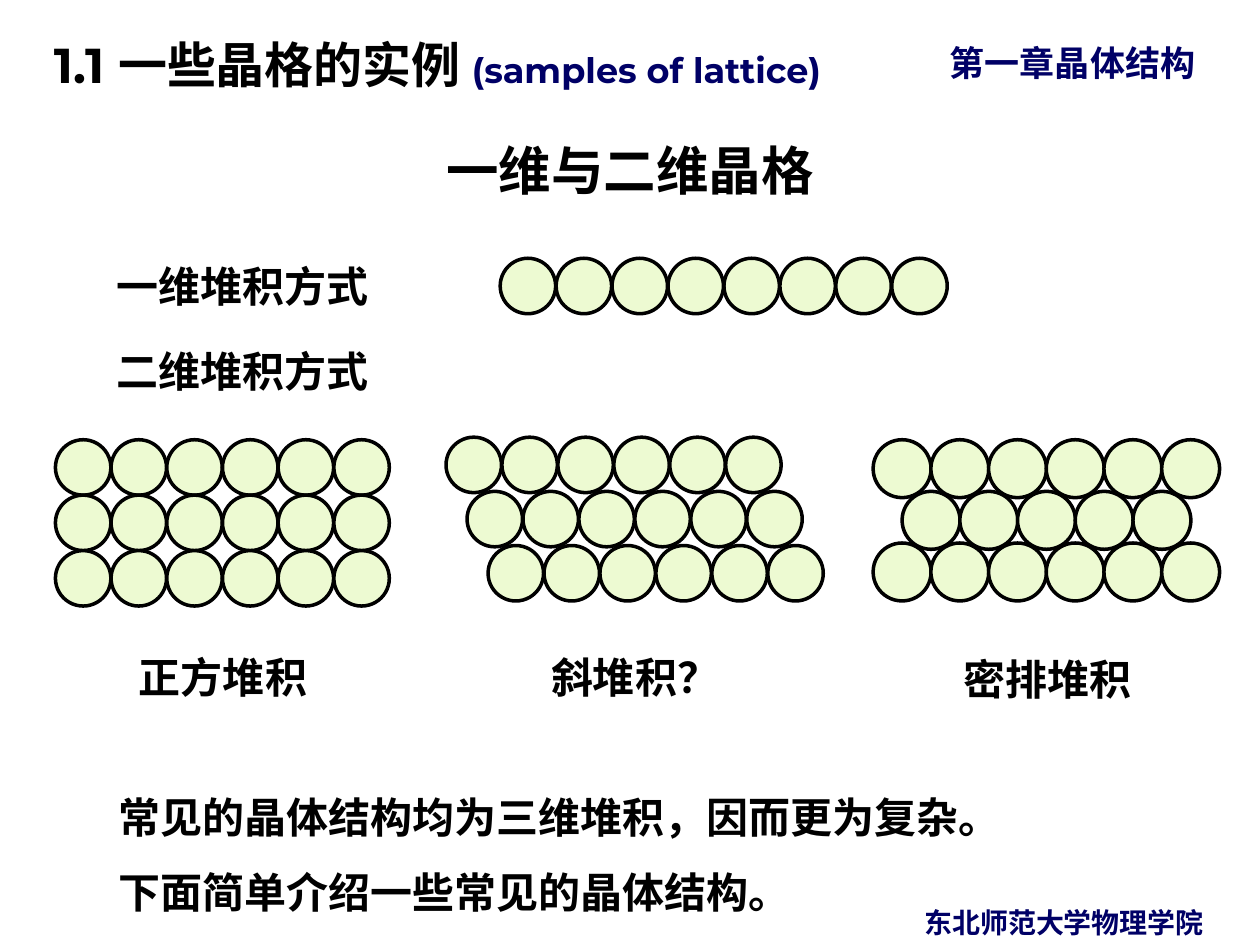
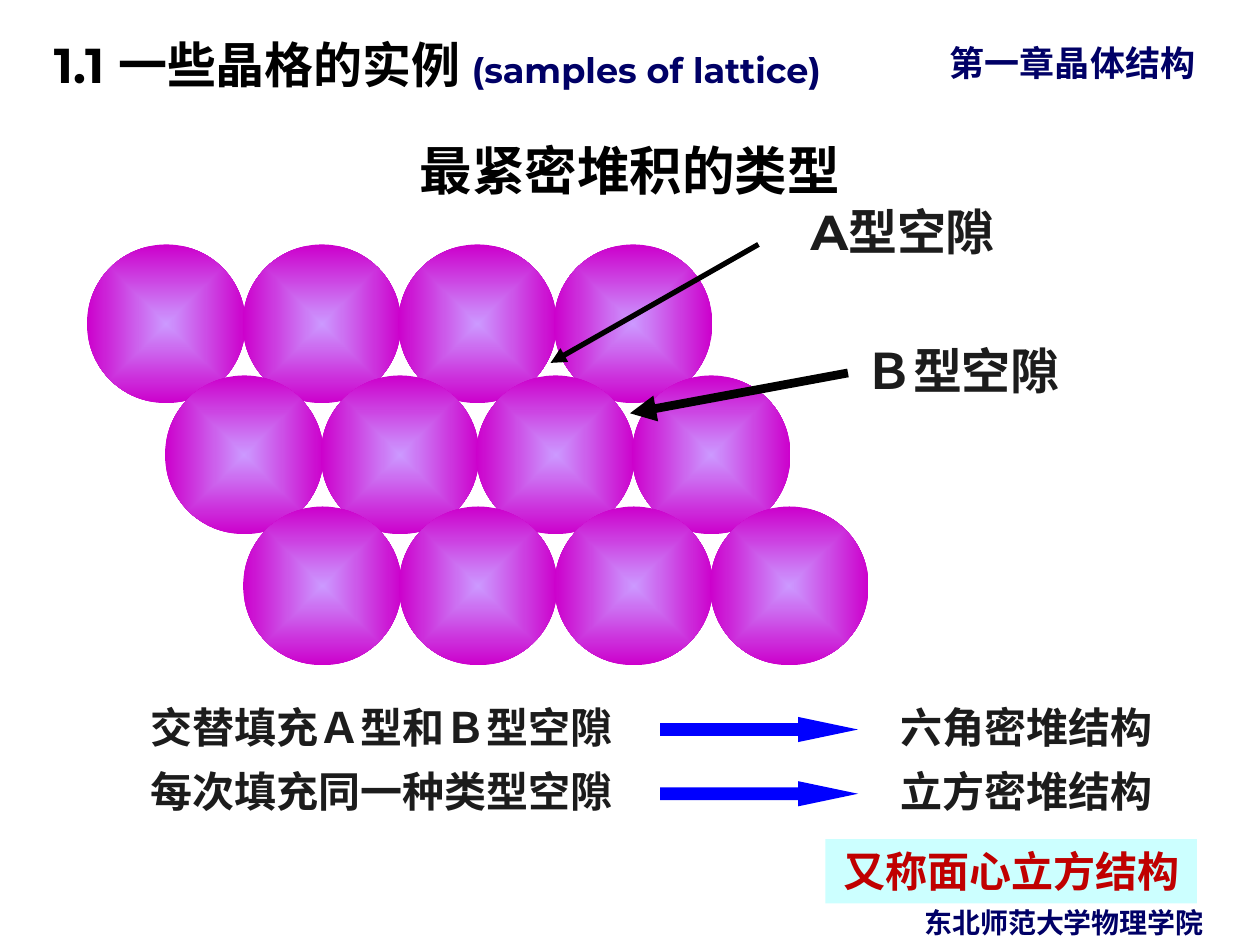
import pptx
import pptx.util
import pptx.dml.color
import pptx.enum.shapes
import pptx.enum.text
import pptx.oxml.ns
import lxml.etree

Inches = pptx.util.Inches
Pt = pptx.util.Pt
ALIGN = pptx.enum.text.PP_ALIGN
ANCHOR = pptx.enum.text.MSO_ANCHOR
SHAPE = pptx.enum.shapes.MSO_SHAPE
qn = pptx.oxml.ns.qn

COLORS = {
    "black": "000000",
    "ink": "1C1C1C",
    "navy": "000066",
    "atom": "EDFAD2",
    "sphere_center": "CC99FF",
    "sphere_edge": "CC00CC",
    "arrow": "0000FF",
    "note_fill": "CCFFFF",
    "note_text": "C00000",
}
LATIN = "Montserrat"
CHINESE = "Noto Sans CJK SC"


def rgb(name):
    return pptx.dml.color.RGBColor.from_string(COLORS[name])


def add_run(paragraph, text, size, color, font):
    run = paragraph.add_run()
    run.text = text
    run.font.size = Pt(size)
    run.font.bold = True
    run.font.name = font
    run.font.color.rgb = rgb(color)
    east_asian = lxml.etree.Element(qn("a:ea"), typeface=CHINESE)
    run.font._element.find(qn("a:latin")).addnext(east_asian)


def add_text(shapes, text, box, size=24, color="black", font=LATIN, align=ALIGN.LEFT,
             anchor=ANCHOR.TOP, line_spacing=None, fill=None, suffix=None):
    shape = shapes.add_textbox(*map(Inches, box))
    frame = shape.text_frame
    frame.word_wrap = True
    frame.vertical_anchor = anchor
    if fill:
        shape.fill.solid()
        shape.fill.fore_color.rgb = rgb(fill)
    paragraph = frame.paragraphs[0]
    paragraph.alignment = align
    if line_spacing:
        paragraph.line_spacing = line_spacing
    add_run(paragraph, text, size, color, font)
    if suffix:
        add_run(paragraph, suffix, 20, "navy", font)
    return shape


def add_centered(shapes, text, box, **text_format):
    return add_text(shapes, text, box, align=ALIGN.CENTER, **text_format)


def add_shape(shapes, kind, box):
    shape = shapes.add_shape(kind, *map(Inches, box))
    shape.shadow.inherit = False
    shape.line.fill.background()
    return shape


def style_atom(shape):
    shape.fill.solid()
    shape.fill.fore_color.rgb = rgb("atom")
    shape.line.fill.solid()
    shape.line.color.rgb = rgb("black")
    shape.line.width = Pt(2)


def style_sphere(shape):
    shape.fill.gradient()
    stops = zip(shape.fill.gradient_stops, (0, 1), ("sphere_center", "sphere_edge"))
    for stop, position, color in stops:
        stop.position = position
        stop.color.rgb = rgb(color)
    gradient = shape._element.spPr.find(qn("a:gradFill"))
    gradient.remove(gradient.find(qn("a:lin")))
    focus = lxml.etree.SubElement(gradient, qn("a:path"), path="shape")
    sides = dict.fromkeys("ltrb", "50000")
    lxml.etree.SubElement(focus, qn("a:fillToRect"), **sides)


def add_packing(slide, rows, diameter, pitch, style):
    group = slide.shapes.add_group_shape()
    for left, top, count in rows:
        for column in range(count):
            box = (left + column * pitch, top, diameter, diameter)
            style(add_shape(group.shapes, SHAPE.OVAL, box))
    return group


def add_pointer(slide, start, end, width):
    connector = slide.shapes.add_connector(
        pptx.enum.shapes.MSO_CONNECTOR.STRAIGHT, *map(Inches, start + end))
    connector.line.color.rgb = rgb("black")
    connector.line.width = Pt(width)
    line = connector.line._get_or_add_ln()
    lxml.etree.SubElement(line, qn("a:tailEnd"), type="triangle")
    lxml.etree.SubElement(connector._element.spPr, qn("a:effectLst"))


def add_block_arrow(slide, box):
    arrow = add_shape(slide.shapes, SHAPE.RIGHT_ARROW, box)
    arrow.adjustments[0] = 0.5
    arrow.adjustments[1] = 2.38
    arrow.fill.solid()
    arrow.fill.fore_color.rgb = rgb("arrow")


def add_slide(presentation, title):
    slide = presentation.slides.add_slide(presentation.slide_layouts[6])
    shapes = slide.shapes
    add_text(shapes, "第一章晶体结构", (7.44, 0.28, 2.56, 0.43),
             size=20, color="navy", font=CHINESE)
    add_text(shapes, "1.1 一些晶格的实例 ", (0.33, 0.1, 7.84, 0.69), size=28,
             anchor=ANCHOR.MIDDLE, line_spacing=1.25, suffix="(samples of lattice)")
    add_centered(shapes, "东北师范大学物理学院", (6.89, 7.14, 3.11, 0.37),
                 size=16, color="navy", font=CHINESE)
    add_centered(shapes, title, (0.5, 0.91, 9, 0.74), size=30,
                 anchor=ANCHOR.BOTTOM, line_spacing=0.9)
    return slide


def build_lattice_slide(presentation):
    slide = add_slide(presentation, "一维与二维晶格")
    add_text(slide.shapes, "一维堆积方式", (0.83, 2.02, 2.27, 0.51))
    add_text(slide.shapes, "二维堆积方式", (0.83, 2.69, 3.43, 0.51))
    add_packing(slide, [(3.97, 2.05, 8)], 0.44, 0.444, style_atom)

    square = [(0.44, 3.49 + row * 0.44, 6) for row in range(3)]
    oblique = [(3.54 + row * 0.167, 3.47 + row * 0.43, 6) for row in range(3)]
    close = [(6.93, 3.49, 6), (7.16, 3.9, 5), (6.93, 4.31, 6)]
    packings = [
        ("正方堆积", square, 0.44, 0.442, (0.35, 5.12)),
        ("斜堆积？", oblique, 0.44, 0.444, (3.62, 5.12)),
        ("密排堆积", close, 0.46, 0.458, (6.89, 5.14)),
    ]
    for label, rows, diameter, pitch, corner in packings:
        group = add_packing(slide, rows, diameter, pitch, style_atom)
        add_centered(group.shapes, label, corner + (2.84, 0.5))

    add_text(slide.shapes,
             "常见的晶体结构均为三维堆积，因而更为复杂。下面简单介绍一些常见的晶体结构。",
             (0.84, 6.03, 7.08, 1.31), line_spacing=1.5)


def build_close_packing_slide(presentation):
    slide = add_slide(presentation, "最紧密堆积的类型")
    layers = [(0.69 + row * 0.62, 1.94 + row * 1.04, 4) for row in range(3)]
    add_packing(slide, layers, 1.26, 1.235, style_sphere)

    gaps = [
        ("A型空隙", (6.18, 1.55), (6.02, 1.94), (4.37, 2.88), 3),
        ("Ｂ型空隙", (6.65, 2.65), (6.73, 2.96), (5, 3.28), 5),
    ]
    for label, corner, start, end, width in gaps:
        add_pointer(slide, start, end, width)
        add_centered(slide.shapes, label, corner + (1.97, 0.57), size=28, color="ink")

    outcomes = [
        ("交替填充Ａ型和Ｂ型空隙", "六角密堆结构"),
        ("每次填充同一种类型空隙", "立方密堆结构"),
    ]
    for row, (filling, structure) in enumerate(outcomes):
        top = 5.52 + row * 0.51
        add_centered(slide.shapes, filling, (0.27, top, 5.51, 0.5), color="ink")
        add_block_arrow(slide, (5.24, top + 0.17, 1.57, 0.2))
        add_centered(slide.shapes, structure, (6.65, top, 2.99, 0.5), color="ink")

    add_centered(slide.shapes, "又称面心立方结构", (6.55, 6.66, 2.95, 0.51),
                 color="note_text", font=CHINESE, fill="note_fill")


def main():
    presentation = pptx.Presentation()
    presentation.slide_width = Inches(10)
    presentation.slide_height = Inches(7.5)
    build_lattice_slide(presentation)
    build_close_packing_slide(presentation)
    presentation.save("out.pptx")


if __name__ == "__main__":
    main()
